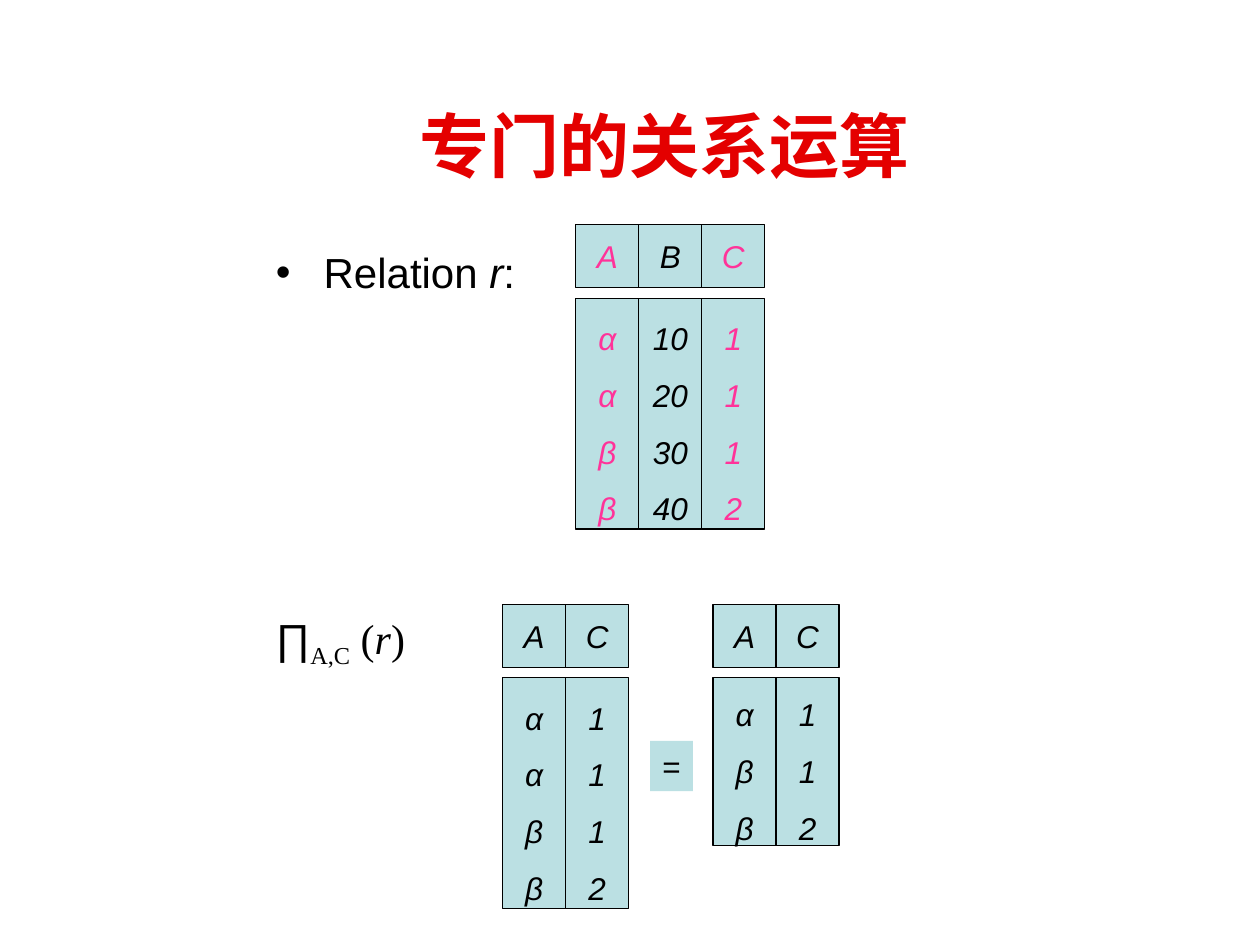
from lxml import etree
from pptx import Presentation
from pptx import util as u
from pptx.dml.color import RGBColor
from pptx.enum import shapes, text
from pptx.oxml.ns import qn

COLORS = {"title": "E40000", "ink": "000000", "cell": "BBE0E3", "kept": "FF3399"}
FRAME = {
    "margin_left": u.Inches(0.1), "margin_right": u.Inches(0.1),
    "margin_top": u.Inches(0.05), "margin_bottom": u.Inches(0.05),
}
CELL_FRAME = {**FRAME, "word_wrap": False, "vertical_anchor": text.MSO_ANCHOR.MIDDLE}
COLUMN_WIDTH, HEADER_HEIGHT = 0.5, 0.5


def apply(target, values):
    for name, value in values.items():
        setattr(target, name, value)


def add_run(paragraph, words, size, color="ink", font="Arial", baseline=0, **styles):
    run = paragraph.add_run()
    run.text = words
    apply(run.font, {"size": u.Pt(size), "name": font, **styles})
    run.font.color.rgb = RGBColor.from_string(COLORS[color])
    if baseline:
        run.font._element.set("baseline", str(baseline * 1000))
    return run


def add_text_box(slide, box, **frame_values):
    frame = slide.shapes.add_textbox(*map(u.Inches, box)).text_frame
    apply(frame, {**FRAME, "word_wrap": True, **frame_values})
    return frame.paragraphs[0]


def add_cell(slide, box, lines, color="ink", spacing=1.0, outlined=True, italic=True):
    cell = slide.shapes.add_shape(shapes.MSO_SHAPE.RECTANGLE, *map(u.Inches, box))
    cell.shadow.inherit = False
    cell.fill.solid()
    cell.fill.fore_color.rgb = RGBColor.from_string(COLORS["cell"])
    if outlined:
        cell.line.color.rgb = RGBColor.from_string(COLORS["ink"])
        cell.line.width = u.Pt(0.75)
    else:
        cell.line.fill.background()
    frame = cell.text_frame
    apply(frame, CELL_FRAME)
    for index, words in enumerate(lines):
        paragraph = frame.add_paragraph() if index else frame.paragraphs[0]
        apply(paragraph, {"alignment": text.PP_ALIGN.CENTER, "line_spacing": spacing})
        add_run(paragraph, words, 18, color, italic=italic)


def add_relation(slide, left, top, body_top, body_height, columns, kept=()):
    """Each attribute is a header cell above one tall cell of values."""
    for index, (attribute, values) in enumerate(columns.items()):
        x = left + index * COLUMN_WIDTH
        color = "kept" if attribute in kept else "ink"
        add_cell(slide, (x, top, COLUMN_WIDTH, HEADER_HEIGHT), [attribute], color)
        add_cell(slide, (x, top + body_top, COLUMN_WIDTH, body_height),
                 values, color, spacing=1.5)


def add_title(slide, box):
    paragraph = add_text_box(slide, box, vertical_anchor=text.MSO_ANCHOR.MIDDLE)
    paragraph.alignment = text.PP_ALIGN.CENTER
    font = "Noto Sans CJK SC"
    run = add_run(paragraph, "专门的关系运算", 40, "title", font, bold=True)
    etree.SubElement(run.font._element, qn("a:ea"), typeface=font)


def add_relation_label(slide, box):
    paragraph = add_text_box(slide, box)
    properties = paragraph._p.get_or_add_pPr()
    apply_indent = {"marL": u.Inches(0.38), "indent": -u.Inches(0.38)}
    for name, value in apply_indent.items():
        properties.set(name, str(value))
    etree.SubElement(properties, qn("a:buFont"), typeface="Arial")
    etree.SubElement(properties, qn("a:buChar"), char="•")
    add_run(paragraph, "Relation", 24)
    add_run(paragraph, " r", 24, italic=True)
    add_run(paragraph, ":", 24)


def add_projection_label(slide, box):
    paragraph = add_text_box(slide, box)
    serif = "Times New Roman"
    add_run(paragraph, "∏", 24)
    add_run(paragraph, "A,C", 24, font=serif, baseline=-25)
    add_run(paragraph, " (", 24, font=serif)
    add_run(paragraph, "r", 24, font=serif, italic=True)
    add_run(paragraph, ")", 24, font=serif)


def main():
    deck = Presentation()
    deck.slide_width, deck.slide_height = u.Inches(10), u.Inches(7.5)
    slide = deck.slides.add_slide(deck.slide_layouts[6])

    add_title(slide, (1.4, 0.75, 7.75, 0.8))

    # Relation r, with the projected attributes highlighted
    add_relation_label(slide, (2.09, 1.91, 2.21, 0.54))
    relation = {"A": "ααββ", "B": ["10", "20", "30", "40"], "C": "1112"}
    add_relation(slide, 4.57, 1.78, 0.59, 1.83, relation, kept="AC")

    # Projection on A and C, before and after removing duplicates
    add_projection_label(slide, (2.09, 4.81, 1.54, 0.81))
    projected = {name: relation[name] for name in "AC"}
    add_relation(slide, 3.99, 4.8, 0.58, 1.83, projected)
    add_cell(slide, (5.16, 5.88, 0.34, 0.4), "=", outlined=False, italic=False)
    add_relation(slide, 5.66, 4.8, 0.58, 1.33, {"A": "αββ", "C": "112"})

    deck.save("out.pptx")


if __name__ == "__main__":
    main()
